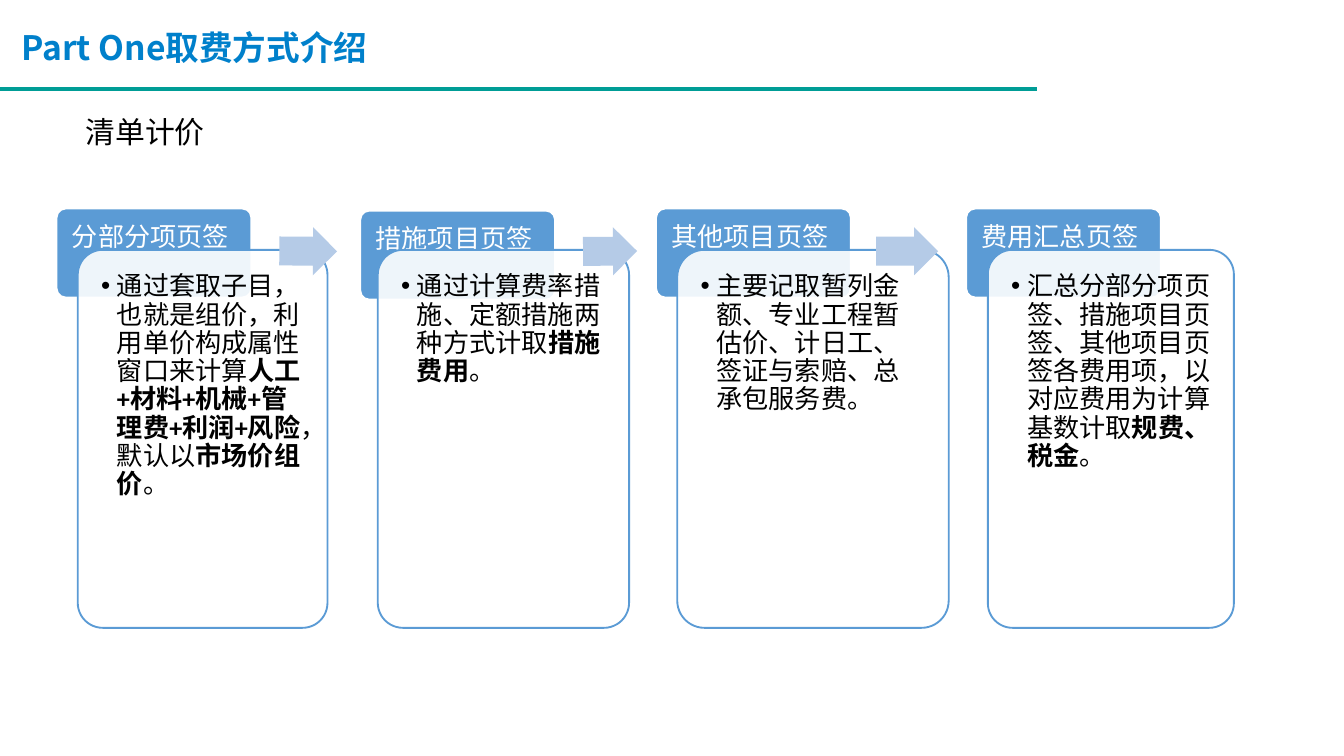
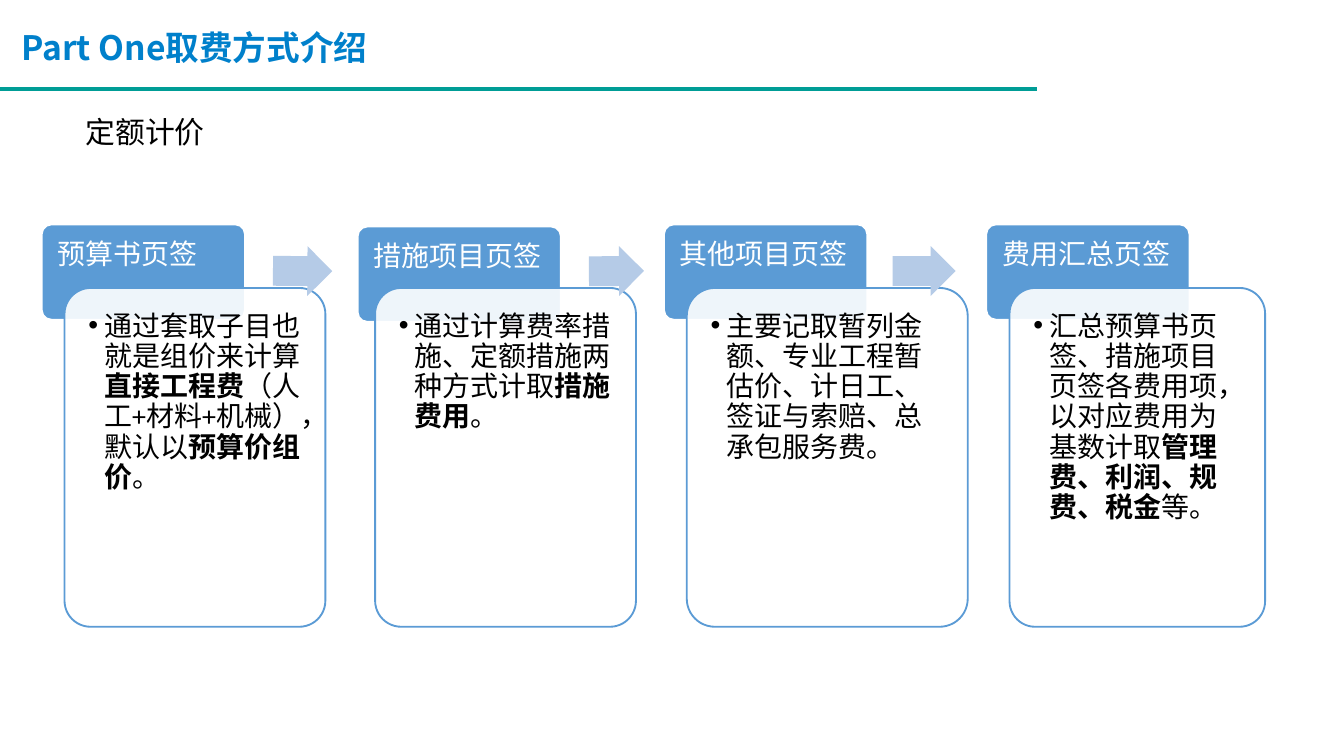
"""Build two slides that compare how fees are taken under list pricing and quota pricing."""
from lxml.etree import SubElement
from pptx import Presentation
from pptx.dml.color import RGBColor as Color
from pptx.enum.shapes import MSO_CONNECTOR as Connector, MSO_SHAPE as Shape
from pptx.enum.text import MSO_ANCHOR as Anchor, MSO_AUTO_SIZE as AutoSize, PP_ALIGN as Align
from pptx.oxml.ns import qn
from pptx.util import Cm, Pt

THEME = {
    "title": {"size": Pt(18), "name": "Noto Sans CJK SC", "bold": True},
    "subtitle": {"size": Pt(16), "name": "Noto Sans CJK SC", "bold": False},
    "card": {"name": "Calibri", "bold": False},
    "title_color": Color.from_string("0080CB"),
    "rule": Color.from_string("009D96"),
    "blue": Color.from_string("5B9BD5"),
    "arrow": Color.from_string("B5CBE7"),
    "white": Color.from_string("FFFFFF"),
    "black": Color.from_string("000000"),
    "east_asian": "Noto Sans CJK SC",
    "panel_opacity": "90000",
}
TITLE = "Part One取费方式介绍"
MEASURES = ("措施项目页签", "通过计算费率措施、定额措施两种方式计取|措施费用|。")
OTHERS = ("其他项目页签", "主要记取暂列金额、专业工程暂估价、计日工、签证与索赔、总承包服务费。")
ARROW_ROTATIONS = (0.4, 359.6, 0)

SLIDES = [
    {
        "subtitle": "清单计价", "size": 14, "inset": 0.29,
        "tab": {"top": 3.94, "width": 3.68, "height": 1.68, "lefts": (1.07, 6.81, 12.4, 18.26)},
        "panel": {"top": 4.72, "height": 7.14,
                  "spans": ((1.47, 4.72), (7.14, 4.75), (12.8, 5.13), (18.67, 4.65))},
        "arrow": {"top": 4.29, "height": 0.91,
                  "spans": ((5.28, 1.09), (11.02, 1.02), (16.56, 1.17))},
        "cards": (
            ("分部分项页签", "通过套取子目，也就是组价，利用单价构成属性窗口来计算"
                       "|人工+材料+机械+管理费+利润+风险|，默认以|市场价组价|。"),
            MEASURES,
            OTHERS,
            ("费用汇总页签", "汇总分部分项页签、措施项目页签、其他项目页签各费用项，"
                       "以对应费用为计算基数计取|规费、税金|。"),
        ),
    },
    {
        "subtitle": "定额计价", "size": 15, "inset": 0.3,
        "tab": {"top": 4.24, "width": 3.84, "height": 1.8, "lefts": (0.79, 6.76, 12.55, 18.64)},
        "panel": {"top": 5.44, "height": 6.4,
                  "spans": ((1.22, 4.93), (7.09, 4.93), (12.98, 5.31), (19.08, 4.83))},
        "arrow": {"top": 4.65, "height": 0.94,
                  "spans": ((5.16, 1.12), (11.13, 1.04), (16.87, 1.19))},
        "cards": (
            ("预算书页签", "通过套取子目也就是组价来计算|直接工程费"
                      "|（人工+材料+机械），默认以|预算价组价|。"),
            MEASURES,
            OTHERS,
            ("费用汇总页签", "汇总预算书页签、措施项目页签各费用项，以对应费用为基数计取"
                       "|管理费、利润、规费、税金|等。"),
        ),
    },
]


def write_text(shape, text, font, color, frame, spacing=1.0):
    """Fill a shape with one paragraph; every second part between bars is bold."""
    text_frame = shape.text_frame
    paragraph = text_frame.paragraphs[0]
    layout = {"alignment": Align.LEFT, "line_spacing": spacing,
              "space_before": Pt(0), "space_after": Pt(0)}
    for target, values in ((text_frame, frame), (paragraph, layout)):
        for name, value in values.items():
            setattr(target, name, value)
    for index, part in enumerate(text.split("|")):
        run = paragraph.add_run()
        run.text = part
        for name, value in font.items():
            setattr(run.font, name, value)
        if index % 2:
            run.font.bold = True
        run.font.color.rgb = color
        SubElement(run.font._element, qn("a:ea")).set("typeface", THEME["east_asian"])
    return paragraph


def add_block(slide, kind, box, fill, line, adjustments):
    """Add a flat preset shape; no line colour means no outline."""
    shape = slide.shapes.add_shape(kind, *(Cm(length) for length in box))
    shape.shadow.inherit = False
    shape.fill.solid()
    shape.fill.fore_color.rgb = fill
    if line is None:
        shape.line.fill.background()
    else:
        shape.line.color.rgb = line
        shape.line.width = Pt(1)
    for index, value in enumerate(adjustments):
        shape.adjustments[index] = value
    return shape


presentation = Presentation()
presentation.slide_width, presentation.slide_height = Cm(25.4), Cm(14.28)
comparison = presentation.slide_layouts[4]

for number, content in enumerate(SLIDES):
    slide = presentation.slides.add_slide(comparison)
    if number == 0:
        rule = slide.shapes.add_connector(Connector.STRAIGHT, 0, Cm(1.68), Cm(19.6), Cm(1.68))
        rule.line.color.rgb = THEME["rule"]
        rule.line.width = Pt(2)
        SubElement(rule._element.spPr, qn("a:effectLst"))
        rule._element.nvCxnSpPr.cNvPr.set("id", "20")
        comparison.placeholders[0]._element.addprevious(rule._element)

    title, *bodies = slide.placeholders
    title.left, title.top, title.width, title.height = Cm(0.15), Cm(0.38), Cm(8), Cm(1.02)
    write_text(title, TITLE, THEME["title"], THEME["title_color"],
               {"word_wrap": True, "auto_size": AutoSize.NONE,
                "vertical_anchor": Anchor.TOP})
    subtitle = slide.shapes.add_textbox(Cm(1.37), Cm(2.03), Cm(4.75), Cm(0.94))
    write_text(subtitle, content["subtitle"], THEME["subtitle"], THEME["black"],
               {"word_wrap": True, "auto_size": AutoSize.SHAPE_TO_FIT_TEXT})

    tab, panel, arrow = content["tab"], content["panel"], content["arrow"]
    inset = Cm(content["inset"])
    tab_inset = inset - Cm(0.05)
    font = {**THEME["card"], "size": Pt(content["size"])}
    frame = {"word_wrap": True, "auto_size": AutoSize.NONE, "vertical_anchor": Anchor.TOP,
             "margin_left": inset, "margin_right": inset,
             "margin_top": inset, "margin_bottom": inset}
    tab_frame = {**frame, "margin_left": tab_inset, "margin_top": tab_inset, "margin_right": 0}

    for index, (heading, details) in enumerate(content["cards"]):
        tab_top = tab["top"] + (0.04 if index == 1 else 0)
        tab_box = (tab["lefts"][index], tab_top, tab["width"], tab["height"])
        tab_shape = add_block(slide, Shape.ROUNDED_RECTANGLE, tab_box,
                              THEME["blue"], THEME["white"], [0.1])
        write_text(tab_shape, heading, font, THEME["white"], tab_frame, 0.9)

        left, width = panel["spans"][index]
        panel_shape = add_block(slide, Shape.ROUNDED_RECTANGLE,
                                (left, panel["top"], width, panel["height"]),
                                THEME["white"], THEME["blue"], [0.1])
        fill_color = panel_shape._element.spPr.find(qn("a:solidFill")).find(qn("a:srgbClr"))
        SubElement(fill_color, qn("a:alpha")).set("val", THEME["panel_opacity"])

        body = bodies[index]
        body.left, body.top = Cm(left + 0.15), Cm(panel["top"] + 0.15)
        body.width, body.height = Cm(width - 0.3), Cm(panel["height"] - 0.3)
        paragraph = write_text(body, details, font, THEME["black"], frame, 0.9)
        paragraph.level = 1
        properties = paragraph._element.get_or_add_pPr()
        properties.set("marL", str(Cm(0.3)))
        properties.set("indent", str(-Cm(0.3)))
        SubElement(properties, qn("a:buChar")).set("char", "•")
        panel_shape._element.addnext(body._element)

        if index < len(arrow["spans"]):
            left, width = arrow["spans"][index]
            arrow_shape = add_block(slide, Shape.RIGHT_ARROW,
                                    (left, arrow["top"], width, arrow["height"]),
                                    THEME["arrow"], None, [0.6, 0.5])
            arrow_shape.rotation = ARROW_ROTATIONS[index]

presentation.save("out.pptx")
